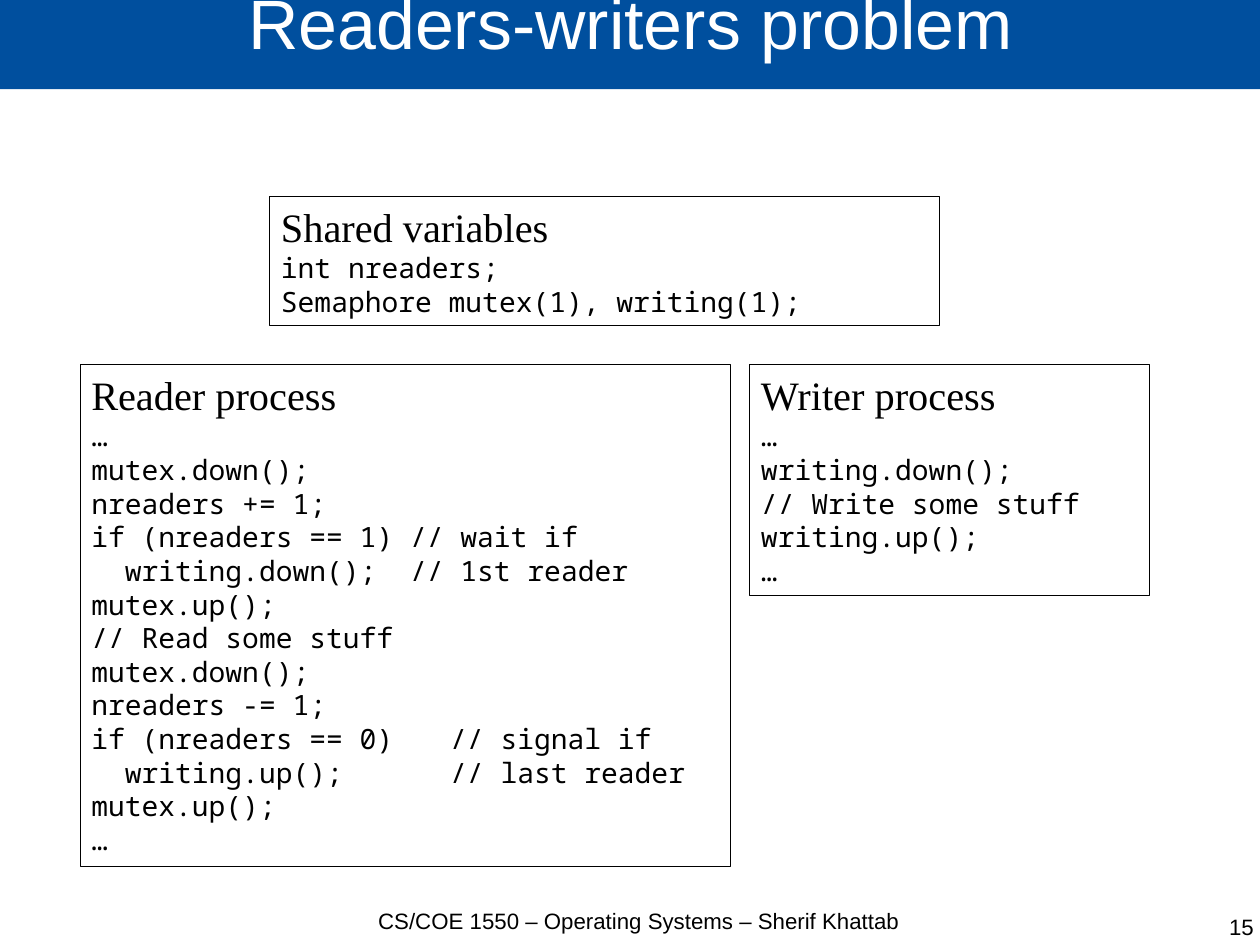
import dataclasses

import lxml.etree
import pptx
import pptx.dml.color
import pptx.enum.shapes
import pptx.enum.text
import pptx.oxml.ns
import pptx.util

Inches = pptx.util.Inches
Align = pptx.enum.text.PP_ALIGN
CM_PER_INCH = 2.54


@dataclasses.dataclass(frozen=True)
class Theme:
    blue: str = "004F9E"
    white: str = "FFFFFF"
    black: str = "000000"
    sans: str = "Arial"
    serif: str = "Times New Roman"
    mono: str = "Noto Sans Mono"
    title_size: float = 44
    heading_size: float = 25.4
    code_size: float = 17.6
    footer_size: float = 14
    code_pitch: float = 21.2
    outline: float = 0.5


READER = """…
mutex.down();
nreaders += 1;
if (nreaders == 1) // wait if
  writing.down();  // 1st reader
mutex.up();
// Read some stuff
mutex.down();
nreaders -= 1;
if (nreaders == 0)\t// signal if
  writing.up();\t// last reader
mutex.up();
…"""

SHARED = """int nreaders;
Semaphore mutex(1), writing(1);"""

WRITER = """…
writing.down();
// Write some stuff
writing.up();
…"""


class SlideBuilder:
    def __init__(self, slide, theme):
        self.slide = slide
        self.theme = theme

    def color(self, value):
        return pptx.dml.color.RGBColor.from_string(value)

    def style(self, paragraph, font_name, size, color, alignment):
        paragraph.alignment = alignment
        paragraph.font.name = font_name
        paragraph.font.size = pptx.util.Pt(size)
        paragraph.font.color.rgb = self.color(color)

    def title(self, text, left, top, width, height):
        shape = self.slide.shapes.title
        shape.left, shape.top = Inches(left), Inches(top)
        shape.width, shape.height = Inches(width), Inches(height)
        shape.fill.solid()
        shape.fill.fore_color.rgb = self.color(self.theme.blue)
        frame = shape.text_frame
        frame.auto_size = pptx.enum.text.MSO_AUTO_SIZE.NONE
        frame.vertical_anchor = pptx.enum.text.MSO_ANCHOR.MIDDLE
        frame.margin_bottom = Inches(0.24)
        frame.text = text
        paragraph = frame.paragraphs[0]
        paragraph.line_spacing = 0.69
        self.style(paragraph, self.theme.sans, self.theme.title_size,
                   self.theme.white, Align.CENTER)

    def footer(self, text, left, top, width, height, alignment):
        box = self.slide.shapes.add_textbox(
            Inches(left), Inches(top), Inches(width), Inches(height))
        frame = box.text_frame
        frame.word_wrap = True
        frame.margin_left = frame.margin_right = Inches(0)
        frame.margin_top = frame.margin_bottom = Inches(0)
        frame.text = text
        self.style(frame.paragraphs[0], self.theme.sans,
                   self.theme.footer_size, self.theme.black, alignment)

    def add_tab(self, paragraph, position):
        properties = paragraph._p.get_or_add_pPr()
        qualified = pptx.oxml.ns.qn
        tabs = lxml.etree.SubElement(properties, qualified("a:tabLst"))
        lxml.etree.SubElement(tabs, qualified("a:tab"),
                              pos=str(Inches(position)), algn="l")

    def code_box(self, heading, code, left, top, width, height):
        theme = self.theme
        shape = self.slide.shapes.add_shape(
            pptx.enum.shapes.MSO_SHAPE.RECTANGLE,
            Inches(left), Inches(top), Inches(width), Inches(height))
        shape.shadow.inherit = False
        shape.fill.background()
        shape.line.color.rgb = self.color(theme.black)
        shape.line.width = pptx.util.Pt(theme.outline)
        frame = shape.text_frame
        frame.word_wrap = True
        frame.vertical_anchor = pptx.enum.text.MSO_ANCHOR.TOP
        frame.text = heading
        self.style(frame.paragraphs[0], theme.serif, theme.heading_size,
                   theme.black, Align.LEFT)
        for line in code.splitlines():
            paragraph = frame.add_paragraph()
            paragraph.text = line
            paragraph.line_spacing = pptx.util.Pt(theme.code_pitch)
            if "\t" in line:
                self.add_tab(paragraph, 3.14)
            self.style(paragraph, theme.mono, theme.code_size,
                       theme.black, Align.LEFT)


def main():
    presentation = pptx.Presentation()
    presentation.slide_width = Inches(28 / CM_PER_INCH)
    presentation.slide_height = Inches(21 / CM_PER_INCH)
    slide = presentation.slides.add_slide(presentation.slide_layouts[5])
    builder = SlideBuilder(slide, Theme())
    builder.title("Readers-writers problem", 0, -0.02, 11.04, 0.8)
    builder.footer("CS/COE 1550 – Operating Systems – Sherif Khattab",
                   3.07, 7.94, 5.04, 0.55, Align.CENTER)
    builder.footer("15", 8.44, 7.99, 2.53, 0.55, Align.RIGHT)
    builder.code_box("Reader process", READER, 0.7, 3.19, 5.69, 4.39)
    builder.code_box("Shared variables", SHARED, 2.36, 1.72, 5.86, 1.13)
    builder.code_box("Writer process", WRITER, 6.56, 3.19, 3.5, 2.02)
    presentation.save("out.pptx")


if __name__ == "__main__":
    main()
